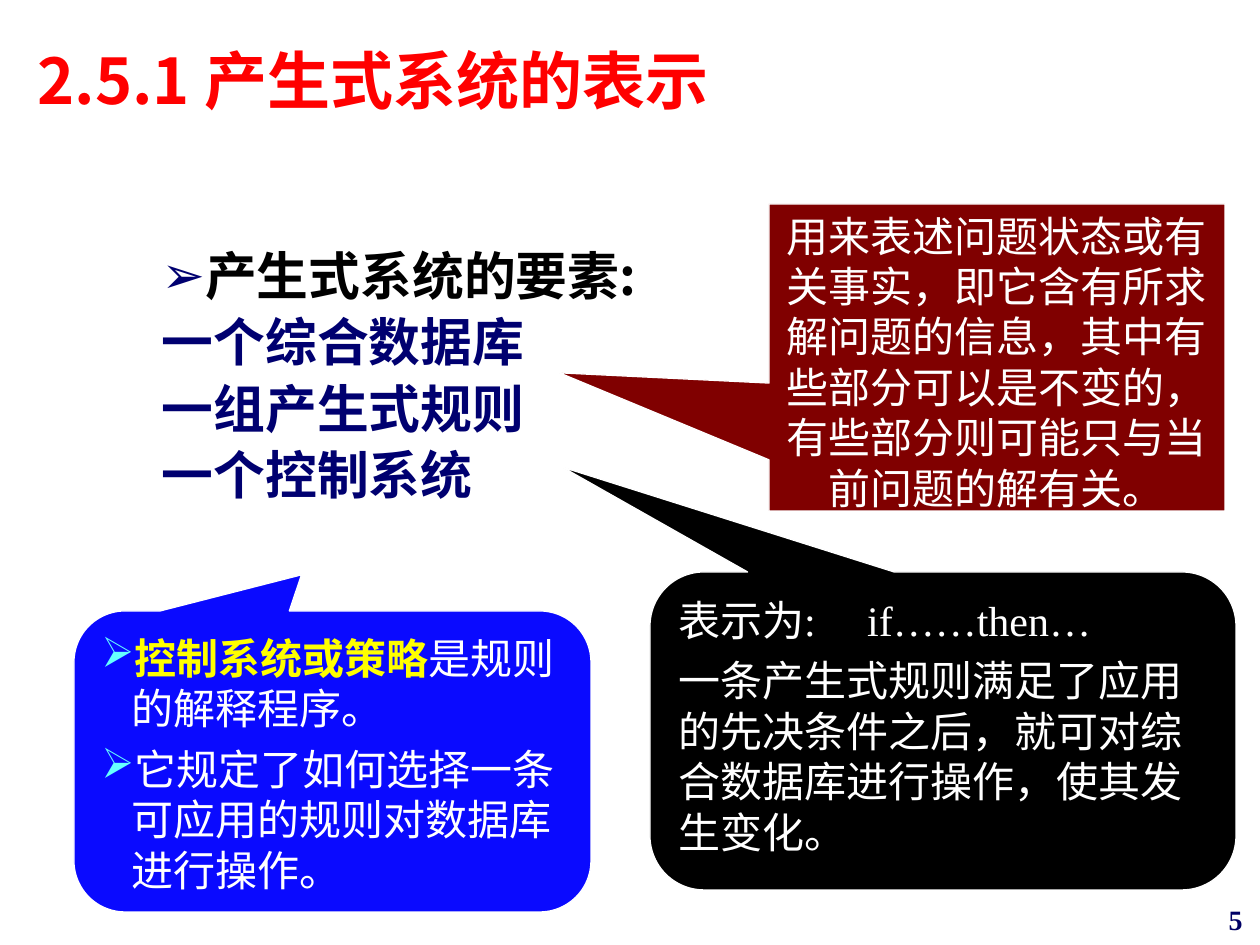
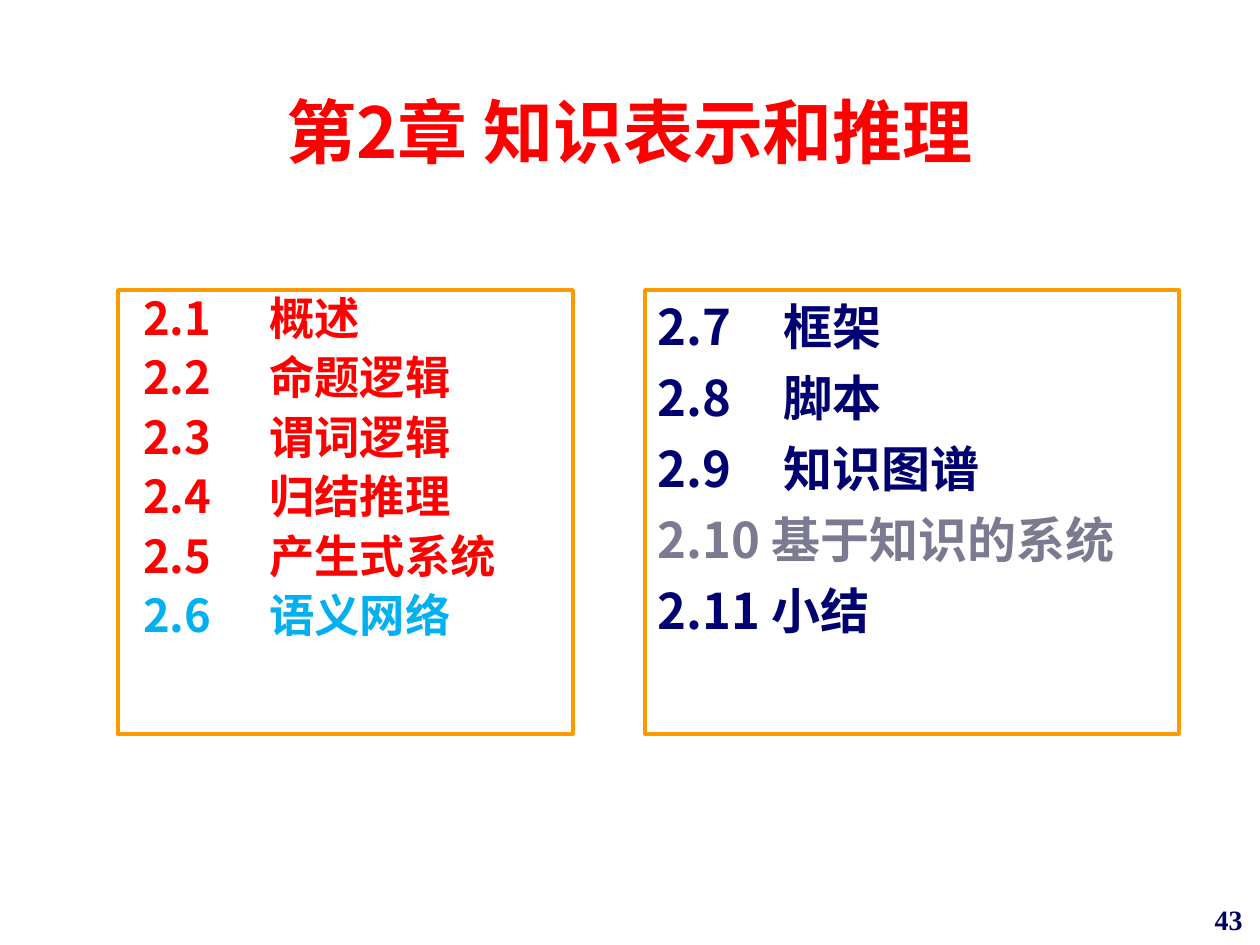
"""Builds two lecture slides on production systems and the chapter outline."""
import pptx
import pptx.util
import pptx.dml.color
import pptx.enum.shapes
import pptx.enum.text
import pptx.oxml.ns
import lxml.etree

RGB = pptx.dml.color.RGBColor
RED = RGB(0xFF, 0x00, 0x00)
NAVY = RGB(0x00, 0x00, 0x70)
PAGE_NAVY = RGB(0x00, 0x00, 0x66)
BLACK = RGB(0x00, 0x00, 0x00)
WHITE = RGB(0xFF, 0xFF, 0xFF)
MAROON = RGB(0x80, 0x00, 0x00)
BLUE = RGB(0x0A, 0x0A, 0xFF)
CYAN = RGB(0x66, 0xFF, 0xFF)
YELLOW = RGB(0xFF, 0xFF, 0x00)
SKY = RGB(0x00, 0xB0, 0xF0)
GREY = RGB(0x7A, 0x7A, 0x90)
ORANGE = RGB(0xFF, 0x99, 0x00)

HEADING_FONT = "Noto Sans CJK SC"
TEXT_FONT = "Times New Roman"
SHAPES = pptx.enum.shapes.MSO_SHAPE
ALIGN = pptx.enum.text.PP_ALIGN
ANCHOR = pptx.enum.text.MSO_ANCHOR


def px(length):
    """Turn a length in px into EMU."""
    return round(length * 914400 / 126)


def add_element(parent, tag, **attributes):
    """Append a drawing element to its parent."""
    return lxml.etree.SubElement(parent, pptx.oxml.ns.qn(tag), **attributes)


class Deck:
    """Holds the shared style and the slide being built."""

    def __init__(self):
        self.presentation = pptx.Presentation()
        self.presentation.slide_width = px(1260)
        self.presentation.slide_height = px(945)
        self.slide = None

    def start(self, layout, page):
        self.slide = self.presentation.slides.add_slide(self.presentation.slide_layouts[layout])
        number = self.slide.shapes.add_textbox(px(993), px(896), px(262), px(49))
        self.set_text(number, [page], 16, PAGE_NAVY, TEXT_FONT, bold=True, align=ALIGN.RIGHT)

    def place(self, part, box):
        part.left, part.top, part.width, part.height = map(px, box)
        return part

    def style(self, font, size, color, family, bold):
        font.size = pptx.util.Pt(size)
        font.bold = bold
        font.color.rgb = color
        font.name = family

    def mark(self, paragraph, bullet, indent, tab):
        properties = paragraph._p.get_or_add_pPr()
        margin, first = indent
        properties.set("marL", str(px(margin)))
        properties.set("indent", str(px(first)))
        if bullet:
            color = add_element(properties, "a:buClr")
            add_element(color, "a:srgbClr", val=str(bullet))
            add_element(properties, "a:buChar", char="➢")
        else:
            add_element(properties, "a:buNone")
        if tab:
            tabs = add_element(properties, "a:tabLst")
            add_element(tabs, "a:tab", pos=str(px(tab)), algn="l")

    def set_text(self, part, entries, size, color, family=HEADING_FONT, bold=False,
                 align=ALIGN.LEFT, anchor=ANCHOR.TOP, before=6, spacing=1.0,
                 bullets=(), indent=(0, 0), tab=None):
        frame = part.text_frame
        frame.word_wrap = True
        frame.auto_size = pptx.enum.text.MSO_AUTO_SIZE.NONE
        frame.vertical_anchor = anchor
        for index, entry in enumerate(entries):
            paragraph = frame.add_paragraph() if index else frame.paragraphs[0]
            paragraph.alignment = align
            paragraph.line_spacing = spacing
            paragraph.space_before = pptx.util.Pt(before if index else 0)
            bullet = bullets[index] if index < len(bullets) else None
            self.mark(paragraph, bullet, indent, tab)
            if isinstance(entry, list):
                for words, run_color, run_bold in entry:
                    run = paragraph.add_run()
                    run.text = words
                    self.style(run.font, size, run_color, family, run_bold)
            else:
                words, entry_color = entry if isinstance(entry, tuple) else (entry, color)
                paragraph.add_run().text = words
                self.style(paragraph.font, size, entry_color, family, bold)

    def title(self, box, words, size, **options):
        heading = self.place(self.slide.shapes.title, box)
        self.set_text(heading, [words], size, RED, bold=True, **options)

    def body(self, index, box, entries, size, **options):
        listing = self.place(self.slide.placeholders[index], box)
        self.set_text(listing, entries, size, NAVY, bold=True, **options)
        return listing

    def outline(self, index, box, entries, size, inset, **options):
        listing = self.body(index, box, entries, size, **options)
        listing.text_frame.margin_left = px(inset)
        self.paint(listing, WHITE, ORANGE, 2)

    def paint(self, part, fill, line, width):
        part.fill.solid()
        part.fill.fore_color.rgb = fill
        part.line.color.rgb = line
        part.line.width = pptx.util.Pt(width)

    def callout(self, kind, box, pointer, fill, entries, **options):
        note = self.slide.shapes.add_shape(kind, *map(px, box))
        for position, value in enumerate(pointer):
            note.adjustments[position] = value
        note.shadow.inherit = False
        self.paint(note, fill, WHITE, 0.75)
        self.set_text(note, entries, 24, WHITE, TEXT_FONT, **options)


def build_elements(deck):
    """Build the slide on the elements of a production system."""
    deck.start(1, "5")
    deck.title((25, 35, 1071, 123), "2.5.1 产生式系统的表示", 36)
    deck.body(1, (54, 244, 625, 368), [
        ("产生式系统的要素:", BLACK), "一个综合数据库", "一组产生式规则", "一个控制系统",
    ], 29.6, spacing=0.9, bullets=(NAVY,), indent=(48, 47))

    deck.callout(SHAPES.RECTANGULAR_CALLOUT, (769, 204, 456, 307), (-0.96, 0.05), MAROON, [
        "用来表述问题状态或有关事实，即它含有所求解问题的信息，其中有些部分可以是不变的，"
        "有些部分则可能只与当前问题的解有关。",
    ], align=ALIGN.CENTER)
    rounded = SHAPES.ROUNDED_RECTANGULAR_CALLOUT
    deck.callout(rounded, (650, 572, 586, 318), (-0.65, -0.83, 0.17), BLACK, [
        "表示为:\tif……then…",
        "一条产生式规则满足了应用的先决条件之后，就可对综合数据库进行操作，使其发生变化。",
    ], tab=179)
    deck.callout(rounded, (74, 611, 517, 301), (-0.06, -0.62, 0.17), BLUE, [
        [("控制系统或策略", YELLOW, True), ("是规则的解释程序。", WHITE, False)],
        "它规定了如何选择一条可应用的规则对数据库进行操作。",
    ], bullets=(CYAN, CYAN), indent=(30, -30))


def build_outline(deck):
    """Build the chapter outline slide."""
    deck.start(3, "43")
    deck.title((94, 52, 1071, 157), "第2章 知识表示和推理", 40,
               align=ALIGN.CENTER, anchor=ANCHOR.MIDDLE)
    covered = ["概述", "命题逻辑", "谓词逻辑", "归结推理", "产生式系统"]
    sections = [(f"2.{number}\t{name}", RED) for number, name in enumerate(covered, 1)]
    deck.outline(1, (118, 290, 455, 444), sections + [("2.6\t语义网络", SKY)],
                 25.9, 25, spacing=0.9, tab=98)
    deck.outline(2, (645, 290, 534, 444), [
        "2.7\t框架", "2.8\t脚本", "2.9\t知识图谱", ("2.10 基于知识的系统", GREY), "2.11 小结",
    ], 28, 13, before=7, tab=106)


def main():
    """Build and save the slides."""
    deck = Deck()
    build_elements(deck)
    build_outline(deck)
    deck.presentation.save("out.pptx")


if __name__ == "__main__":
    main()
